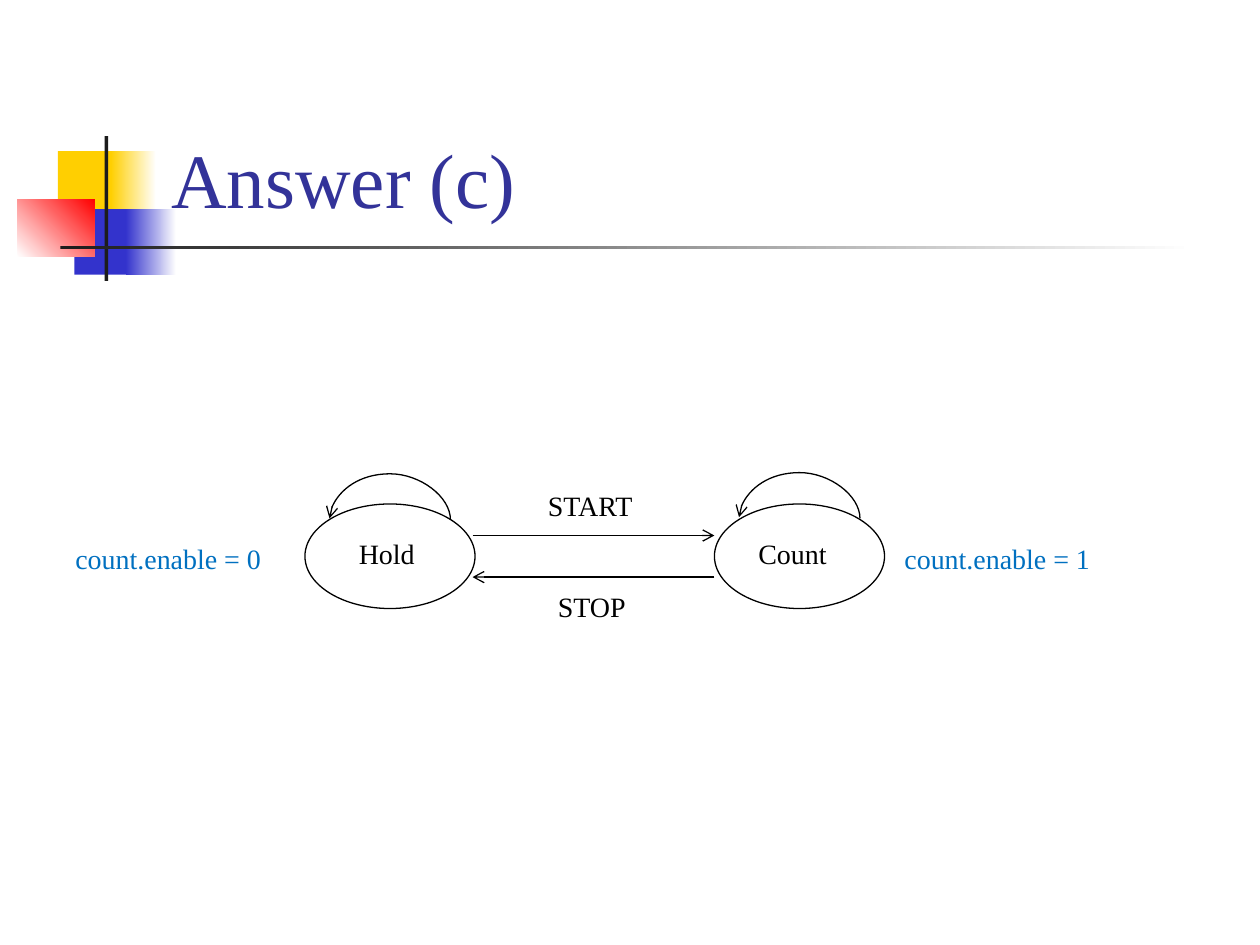
from typing import NamedTuple, Optional

from pptx import Presentation
from pptx.dml.color import RGBColor
from pptx.enum import shapes, text
from pptx.oxml import parse_xml
from pptx.oxml.ns import nsdecls
from pptx.util import Inches, Pt

FONT = "Times New Roman"
BLACK, WHITE, DARK = "000000", "FFFFFF", "1C1C1C"
YELLOW, BLUE, RED = "FFCF01", "3333CC", "FF0000"
TITLE_BLUE, OUTPUT_BLUE = "333399", "0070C0"


class Block(NamedTuple):
    left: float
    top: float
    width: float
    height: float
    color: str
    fade_to: Optional[str] = None
    angle: float = 0


class Label(NamedTuple):
    text: str
    left: float
    top: float
    width: float
    color: str = BLACK


class State(NamedTuple):
    left: float
    loop_top: float


BLOCKS = [
    Block(0.46, 1.2, 0.48, 0.52, YELLOW),
    Block(0.88, 1.2, 0.36, 0.52, YELLOW, WHITE),
    Block(0.59, 1.66, 0.46, 0.52, BLUE),
    Block(1, 1.66, 0.4, 0.52, BLUE, WHITE),
    Block(0.14, 1.58, 0.61, 0.46, WHITE, RED, 45),
    Block(0.83, 1.08, 0.03, 1.15, DARK),
    Block(0.48, 1.95, 9, 0.03, DARK, WHITE),
]
STATES = [State(2.42, 3.64), State(5.67, 3.63)]
STATE_TOP, STATE_W, STATE_H = 4, 1.35, 0.83
TRANSITIONS = [(3.75, 5.67, 4.25), (5.67, 3.75, 4.58)]
LABELS = [
    Label("Hold", 2.75, 4.21, 0.67),
    Label("Count", 5.92, 4.21, 0.75),
    Label("START", 4.25, 3.83, 1),
    Label("STOP", 4.33, 4.63, 1),
    Label("count.enable = 1", 7.08, 4.25, 1.92, OUTPUT_BLUE),
    Label("count.enable = 0", 0.5, 4.25, 1.92, OUTPUT_BLUE),
]


def rgb(color: str) -> RGBColor:
    return RGBColor.from_string(color)


def set_font(p, size: float, color: str) -> None:
    p.font.name = FONT
    p.font.size = Pt(size)
    p.font.color.rgb = rgb(color)


def set_outline(sp) -> None:
    sp.line.color.rgb = rgb(BLACK)
    sp.line.width = Pt(0.75)


def add_block(slide, b: Block) -> None:
    sp = slide.shapes.add_shape(
        shapes.MSO_SHAPE.RECTANGLE,
        Inches(b.left), Inches(b.top), Inches(b.width), Inches(b.height))
    sp.shadow.inherit = False
    sp.line.fill.background()
    if b.fade_to is None:
        sp.fill.solid()
        sp.fill.fore_color.rgb = rgb(b.color)
        return
    sp.fill.gradient()
    sp.fill.gradient_angle = b.angle
    for stop, color, position in zip(sp.fill.gradient_stops, (b.color, b.fade_to), (0, 1)):
        stop.color.rgb = rgb(color)
        stop.position = position


def add_title(slide, title: str) -> None:
    sp = slide.shapes.title
    sp.left, sp.top = Inches(1.26), Inches(0.23)
    sp.width, sp.height = Inches(8.52), Inches(1.6)
    tf = sp.text_frame
    tf.text = title
    tf.vertical_anchor = text.MSO_ANCHOR.BOTTOM
    p = tf.paragraphs[0]
    p.alignment = text.PP_ALIGN.LEFT
    set_font(p, 44, TITLE_BLUE)


def add_arrow(slide, kind, x1: float, y1: float, x2: float, y2: float):
    cxn = slide.shapes.add_connector(kind, Inches(x1), Inches(y1), Inches(x2), Inches(y2))
    set_outline(cxn)
    cxn.line._get_or_add_ln().append(parse_xml(f'<a:tailEnd {nsdecls("a")} type="arrow"/>'))
    cxn.element.spPr.append(parse_xml(f'<a:effectLst {nsdecls("a")}/>'))
    return cxn


def add_self_loop(slide, state: State) -> None:
    """Draw an upright connector and turn it so that it bulges above the state."""
    thickness, span, bulge = 0.01, 0.96, 0.37
    x = state.left + STATE_W / 2 - thickness / 2
    cxn = add_arrow(slide, shapes.MSO_CONNECTOR.CURVE,
                    x, state.loop_top + span, x + thickness, state.loop_top)
    sp_pr = cxn.element.spPr
    sp_pr.xfrm.set("rot", str(270 * 60000))
    adjust = round(bulge / thickness * 100000)
    sp_pr.prstGeom.get_or_add_avLst().append(
        parse_xml(f'<a:gd {nsdecls("a")} name="adj1" fmla="val {adjust}"/>'))


def add_state(slide, state: State) -> None:
    sp = slide.shapes.add_shape(
        shapes.MSO_SHAPE.OVAL,
        Inches(state.left), Inches(STATE_TOP), Inches(STATE_W), Inches(STATE_H))
    sp.shadow.inherit = False
    sp.fill.background()
    set_outline(sp)


def add_label(slide, label: Label) -> None:
    sp = slide.shapes.add_textbox(
        Inches(label.left), Inches(label.top), Inches(label.width), Inches(0.37))
    tf = sp.text_frame
    tf.word_wrap = True
    tf.auto_size = text.MSO_AUTO_SIZE.SHAPE_TO_FIT_TEXT
    tf.text = label.text
    set_font(tf.paragraphs[0], 16, label.color)


def main() -> None:
    prs = Presentation()
    prs.slide_width, prs.slide_height = Inches(10), Inches(7.5)
    slide = prs.slides.add_slide(prs.slide_layouts[5])
    for block in BLOCKS:
        add_block(slide, block)
    # Bring the title in front of the decoration
    slide.shapes.element.append(slide.shapes.title.element)
    add_title(slide, "Answer (c)")
    for state in STATES:
        add_state(slide, state)
        add_self_loop(slide, state)
    for x1, x2, y in TRANSITIONS:
        add_arrow(slide, shapes.MSO_CONNECTOR.STRAIGHT, x1, y, x2, y)
    for label in LABELS:
        add_label(slide, label)
    prs.save("out.pptx")


if __name__ == "__main__":
    main()
